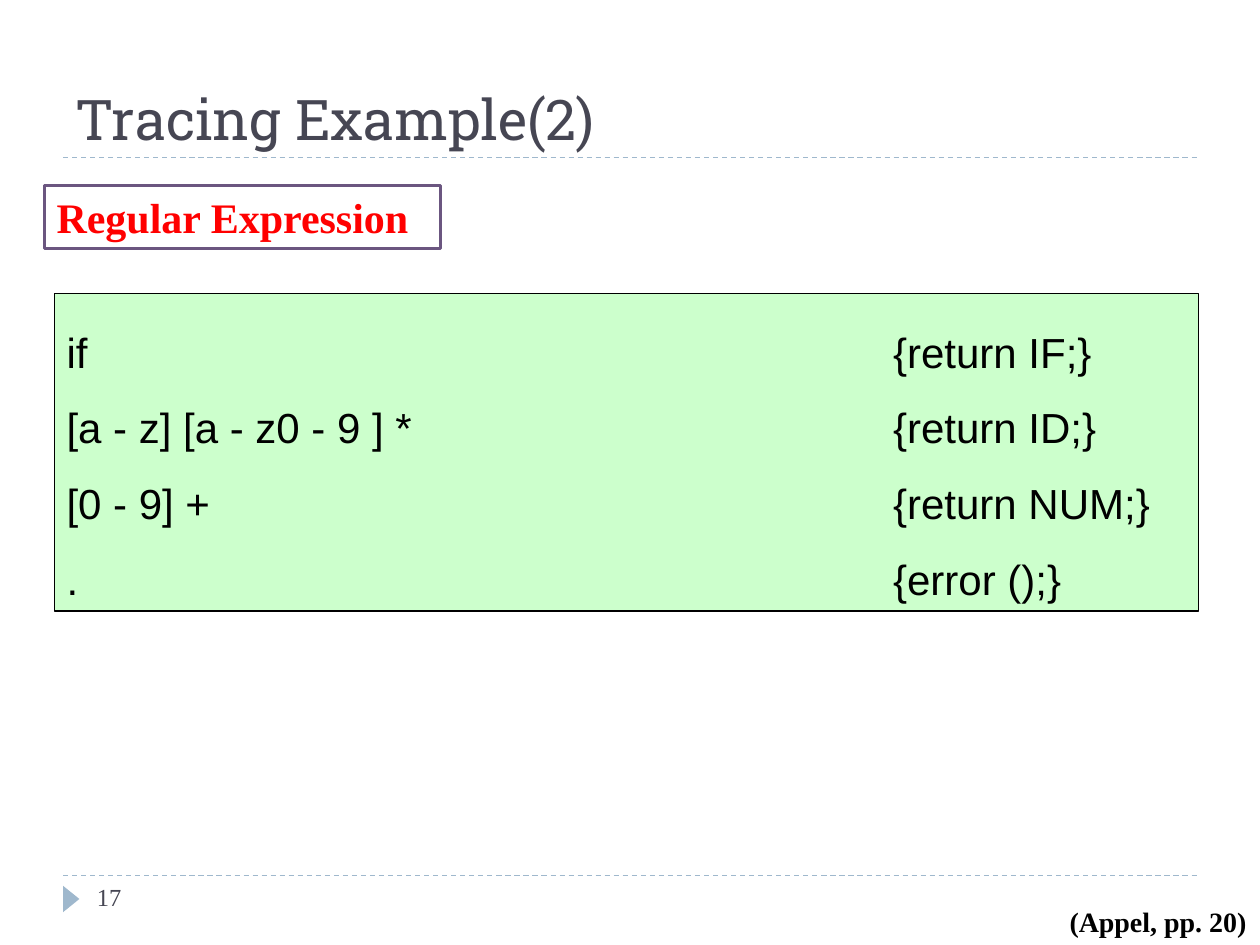
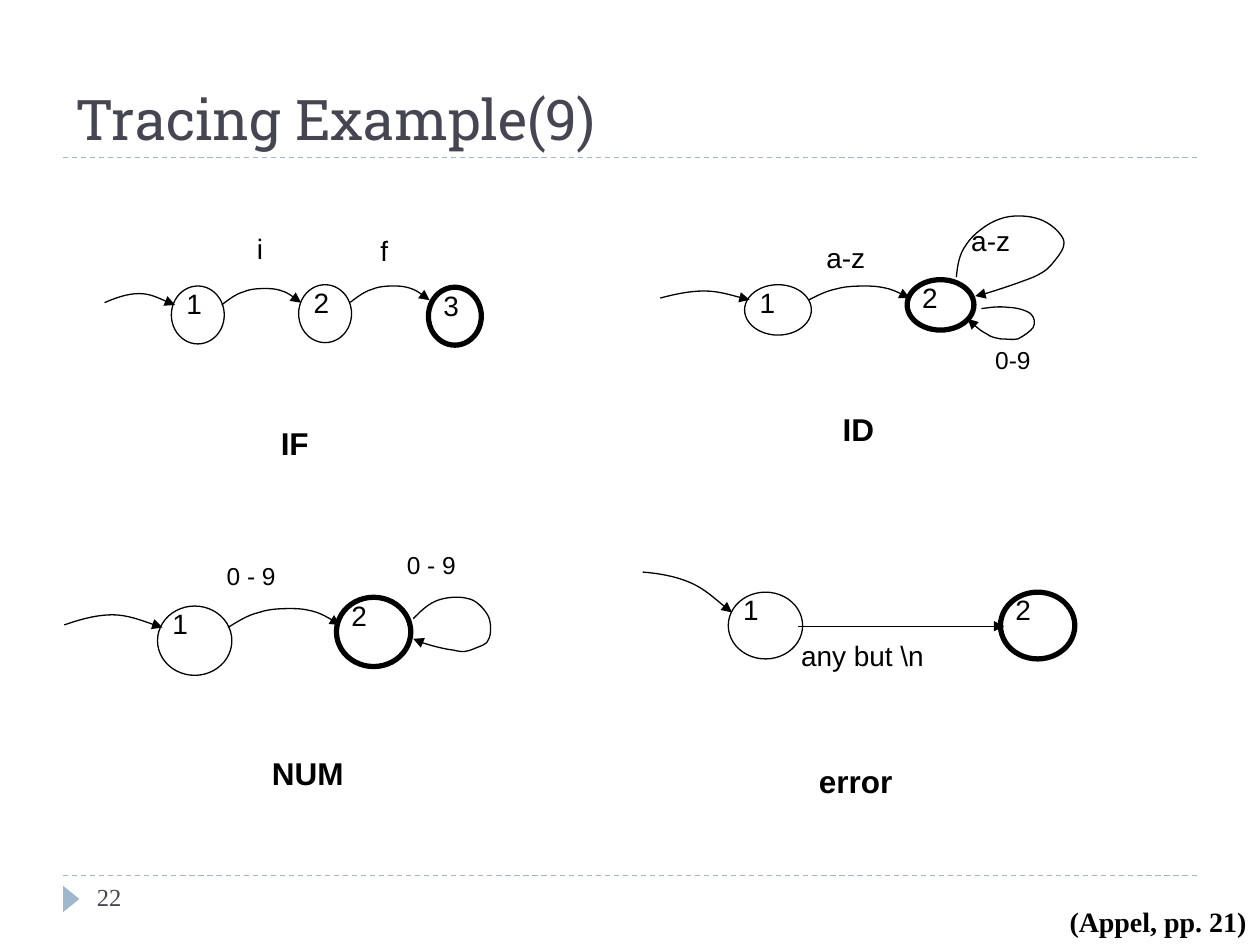
from dataclasses import dataclass
from lxml.etree import SubElement
from pptx import Presentation
from pptx.dml.color import RGBColor
from pptx.enum.dml import MSO_LINE
from pptx.enum.shapes import MSO_CONNECTOR, MSO_SHAPE
from pptx.enum.text import MSO_ANCHOR, MSO_AUTO_SIZE, PP_ALIGN
from pptx.oxml.ns import qn
from pptx.util import Inches, Pt


@dataclass(frozen=True)
class Theme:
    black: str = "000000"
    title: str = "464653"
    rule: str = "9FB8CD"
    heading: str = "FF0000"
    frame: str = "6B5680"
    panel: str = "CCFFCC"
    slab: str = "Roboto Slab"
    serif: str = "Times New Roman"
    sans: str = "Arial"
    title_size: int = 32
    body_size: int = 24
    name_size: int = 18
    label_size: int = 16
    small_size: int = 14
    thin: float = 0.75
    medium: float = 1.75
    thick: float = 3


T = Theme()

TRACE_2 = ("Tracing Example(2)", "17", "(Appel, pp. 20)")
TRACE_9 = ("Tracing Example(9)", "22", "(Appel, pp. 21)")

HEADING = "Regular Expression"
RULES = [
    ("if", "{return IF;}"),
    ("[a - z] [a - z0 - 9 ] *", "{return ID;}"),
    ("[0 - 9] +", "{return NUM;}"),
    (".", "{error ();}"),
]
ACTION_TAB = 6.56

# Bezier curves: a start point, then three points per segment.
# ENTRY and ARC are in unit coordinates and are fitted to a box.
ENTRY = [(0, 0.8), (0.15, 0.4), (0.32, 0), (0.49, 0), (0.65, 0), (0.91, 0.8), (1, 1)]
ARC = [(0, 1), (0.09, 0.67), (0.18, 0.33), (0.28, 0.2), (0.37, 0), (0.49, 0),
       (0.57, 0), (0.66, 0), (0.72, 0.07), (0.79, 0.2), (0.85, 0.33),
       (0.99, 0.8), (1, 0.87)]
# The remaining curves are in slide inches.
LETTER_LOOP = [(7.59, 2.2), (7.6, 2.11), (7.61, 2.02), (7.67, 1.94),
               (7.72, 1.86), (7.84, 1.77), (7.93, 1.74),
               (8.03, 1.7), (8.17, 1.71), (8.25, 1.74),
               (8.34, 1.77), (8.42, 1.85), (8.44, 1.9),
               (8.46, 1.96), (8.41, 2.02), (8.37, 2.07),
               (8.33, 2.12), (8.31, 2.15), (8.2, 2.2),
               (8.1, 2.24), (7.81, 2.34), (7.74, 2.35)]
DIGIT_LOOP = [(7.79, 2.45), (7.86, 2.44), (7.93, 2.43), (8, 2.44),
              (8.06, 2.44), (8.14, 2.46), (8.18, 2.49),
              (8.21, 2.52), (8.22, 2.56), (8.2, 2.6),
              (8.18, 2.63), (8.12, 2.67), (8.08, 2.69),
              (8.04, 2.7), (7.99, 2.69), (7.94, 2.69),
              (7.9, 2.68), (7.87, 2.68), (7.83, 2.65),
              (7.79, 2.63), (7.69, 2.55), (7.68, 2.53)]
NUM_LOOP = [(3.28, 4.91), (3.34, 4.85), (3.39, 4.8), (3.46, 4.77),
            (3.53, 4.74), (3.64, 4.73), (3.71, 4.75),
            (3.78, 4.76), (3.84, 4.83), (3.87, 4.88),
            (3.9, 4.93), (3.9, 5.03), (3.88, 5.07),
            (3.87, 5.12), (3.8, 5.13), (3.76, 5.15),
            (3.71, 5.17), (3.68, 5.18), (3.6, 5.16),
            (3.52, 5.15), (3.32, 5.1), (3.28, 5.07)]
ERROR_ENTRY = [(5.1, 4.54), (5.22, 4.55), (5.35, 4.57), (5.47, 4.62),
               (5.59, 4.67), (5.74, 4.81), (5.81, 4.86)]

# The last state of each automaton is the accepting one.
AUTOMATA = [
    {"name": ("IF", 2.13, 3.4, 0.42),
     "size": (0.42, 0.46),
     "states": [(1.36, 2.27), (2.37, 2.26), (3.4, 2.28)],
     "fitted": [(ENTRY, (0.83, 2.33, 0.56, 0.09)),
                (ARC, (1.76, 2.29, 0.63, 0.13)),
                (ARC, (2.78, 2.27, 0.63, 0.13))],
     "labels": [("i", 1.94, 1.86, 0.25, T.label_size),
                ("f", 2.92, 1.88, 0.26, T.label_size)]},
    {"name": ("ID", 6.59, 3.29, 0.54),
     "size": (0.53, 0.4),
     "states": [(5.91, 2.26), (7.2, 2.22)],
     "fitted": [(ENTRY, (5.24, 2.31, 0.71, 0.07)),
                (ARC, (6.42, 2.27, 0.8, 0.11))],
     "curves": [LETTER_LOOP, DIGIT_LOOP],
     "labels": [("a-z", 6.46, 1.93, 0.51, T.label_size),
                ("a-z", 7.61, 1.8, 0.51, T.label_size),
                ("0-9", 7.8, 2.75, 0.48, T.small_size)]},
    {"name": ("NUM", 2.06, 6.02, 0.77),
     "size": (0.59, 0.55),
     "states": [(1.25, 4.81), (2.67, 4.74)],
     "fitted": [(ENTRY, (0.51, 4.88, 0.78, 0.1)),
                (ARC, (1.81, 4.83, 0.89, 0.15))],
     "curves": [NUM_LOOP],
     "labels": [("0 - 9", 1.7, 4.47, 0.59, T.small_size),
                ("0 - 9", 3.13, 4.38, 0.59, T.small_size)]},
    {"name": ("error", 6.4, 6.08, 0.78),
     "size": (0.59, 0.53),
     "states": [(5.78, 4.7), (7.94, 4.7)],
     "curves": [ERROR_ENTRY],
     "straight": [(6.33, 4.97, 7.97, 4.97)],
     "labels": [("any but \\n", 6.26, 5.09, 1.17, T.label_size)]},
]


def inches(*values):
    return [Inches(v) for v in values]


def rgb(code):
    return RGBColor.from_string(code)


def add_run(p, text, font, size, color=T.black, bold=False):
    r = p.add_run()
    r.text = text
    r.font.name, r.font.size, r.font.bold = font, Pt(size), bold
    r.font.color.rgb = rgb(color)


def add_text(slide, box, text, *style, anchor=MSO_ANCHOR.TOP, spacing=None):
    """Add one line of text; no right inset, so that tight boxes keep it whole."""
    tf = slide.shapes.add_textbox(*inches(*box)).text_frame
    tf.word_wrap = True
    tf.auto_size = MSO_AUTO_SIZE.NONE
    tf.margin_right = 0
    tf.vertical_anchor = anchor
    p = tf.paragraphs[0]
    p.line_spacing = spacing
    add_run(p, text, *style)


def paint(s, fill=None, line=None, width=T.thin):
    s.shadow.inherit = False
    if fill:
        s.fill.solid()
        s.fill.fore_color.rgb = rgb(fill)
    else:
        s.fill.background()
    if line:
        s.line.color.rgb = rgb(line)
        s.line.width = Pt(width)
    else:
        s.line.fill.background()


def add_preset(slide, kind, box, **look):
    s = slide.shapes.add_shape(kind, *inches(*box))
    paint(s, **look)
    return s


def add_line(slide, ends, color):
    s = slide.shapes.add_connector(MSO_CONNECTOR.STRAIGHT, *inches(*ends))
    s.line.color.rgb = rgb(color)
    s.line.width = Pt(T.thin)
    SubElement(s.element.spPr, qn("a:effectLst"))
    return s


def add_arrowhead(s):
    SubElement(s.element.spPr.find(qn("a:ln")), qn("a:tailEnd"), type="triangle")


def add_curve(slide, points, box=(0, 0, 1, 1)):
    """Draw an arrow along Bezier points scaled into box."""
    x, y, w, h = box
    start, *rest = [inches(x + px * w, y + py * h) for px, py in points]
    builder = slide.shapes.build_freeform(*start)
    builder.add_line_segments(rest, close=False)
    s = builder.convert_to_shape()
    outline = s.element.find(".//" + qn("a:path"))
    segments = outline.findall(qn("a:lnTo"))
    for i in range(0, len(segments), 3):
        bezier = SubElement(outline, qn("a:cubicBezTo"))
        for segment in segments[i:i + 3]:
            bezier.append(segment[0])
            outline.remove(segment)
    paint(s, line=T.black)
    add_arrowhead(s)


def new_slide(prs, title, number, citation):
    slide = prs.slides.add_slide(prs.slide_layouts[6])
    for y in (6.95, 1.25):
        add_line(slide, (0.5, y, 9.5, y), T.rule).line.dash_style = MSO_LINE.DASH
    marker = add_preset(slide, MSO_SHAPE.ISOSCELES_TRIANGLE,
                        (0.46, 7.07, 0.21, 0.13), fill=T.rule)
    marker.rotation = 90
    add_text(slide, (0.5, 0.17, 9, 1.08), title, T.slab, T.title_size, T.title,
             anchor=MSO_ANCHOR.BOTTOM)
    add_text(slide, (0.67, 6.95, 2.17, 0.4), number, T.serif, T.small_size, T.title)
    add_text(slide, (8.39, 7.13, 1.6, 0.37), citation, T.serif, T.label_size,
             T.black, True)
    return slide


def add_rules(slide):
    s = add_preset(slide, MSO_SHAPE.RECTANGLE, (0.43, 2.33, 9.08, 2.52),
                   fill=T.panel, line=T.black)
    tf = s.text_frame
    tf.vertical_anchor = MSO_ANCHOR.MIDDLE
    for i, (pattern, action) in enumerate(RULES):
        p = tf.add_paragraph() if i else tf.paragraphs[0]
        p.alignment, p.line_spacing = PP_ALIGN.LEFT, 1.5
        tabs = SubElement(p._p.get_or_add_pPr(), qn("a:tabLst"))
        SubElement(tabs, qn("a:tab"), pos=str(Inches(ACTION_TAB)), algn="l")
        add_run(p, f"{pattern}\t{action}", T.sans, T.body_size)


def add_heading(slide):
    s = add_preset(slide, MSO_SHAPE.RECTANGLE, (0.35, 1.47, 3.15, 0.5),
                   line=T.frame, width=T.medium)
    s.text_frame.vertical_anchor = MSO_ANCHOR.TOP
    p = s.text_frame.paragraphs[0]
    p.alignment = PP_ALIGN.LEFT
    add_run(p, HEADING, T.serif, T.body_size, T.heading, True)


def add_automaton(slide, a):
    def label(text, x, y, w, size, bold=False):
        add_text(slide, (x, y, w, 0.29), text, T.sans, size, T.black, bold, spacing=0.7)

    for i, (x, y) in enumerate(a["states"], 1):
        accepting = i == len(a["states"])
        add_preset(slide, MSO_SHAPE.OVAL, (x, y, *a["size"]), line=T.black,
                   width=T.thick if accepting else T.thin)
        label(str(i), x + 0.02, y + 0.03, 0.32, T.label_size)
    for points, box in a.get("fitted", []):
        add_curve(slide, points, box)
    for points in a.get("curves", []):
        add_curve(slide, points)
    for ends in a.get("straight", []):
        add_arrowhead(add_line(slide, ends, T.black))
    for item in a["labels"]:
        label(*item)
    label(*a["name"], T.name_size, True)


def main():
    prs = Presentation()
    prs.slide_width, prs.slide_height = inches(10, 7.5)
    slide = new_slide(prs, *TRACE_2)
    add_rules(slide)
    add_heading(slide)
    slide = new_slide(prs, *TRACE_9)
    for a in AUTOMATA:
        add_automaton(slide, a)
    prs.save("out.pptx")


if __name__ == "__main__":
    main()
